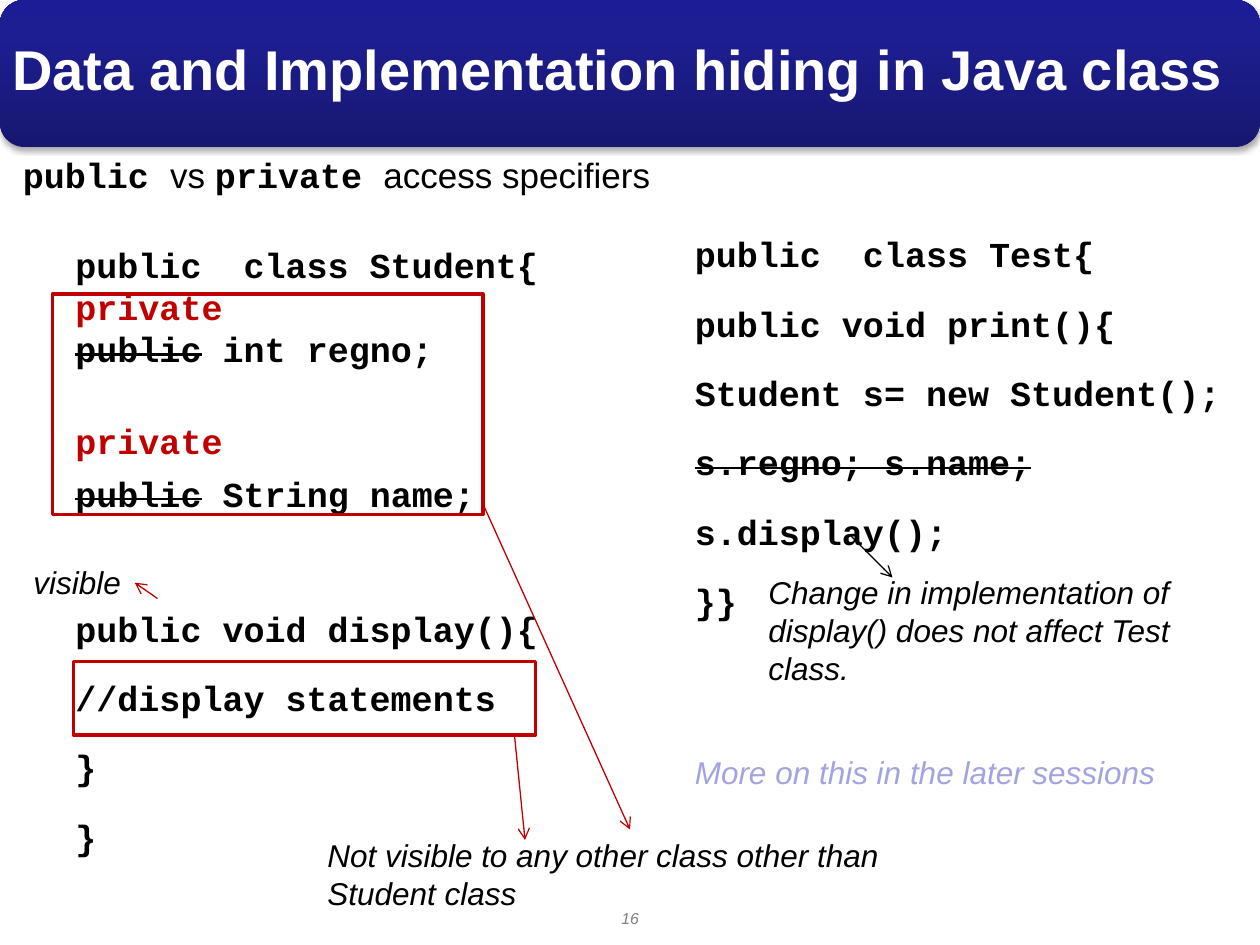
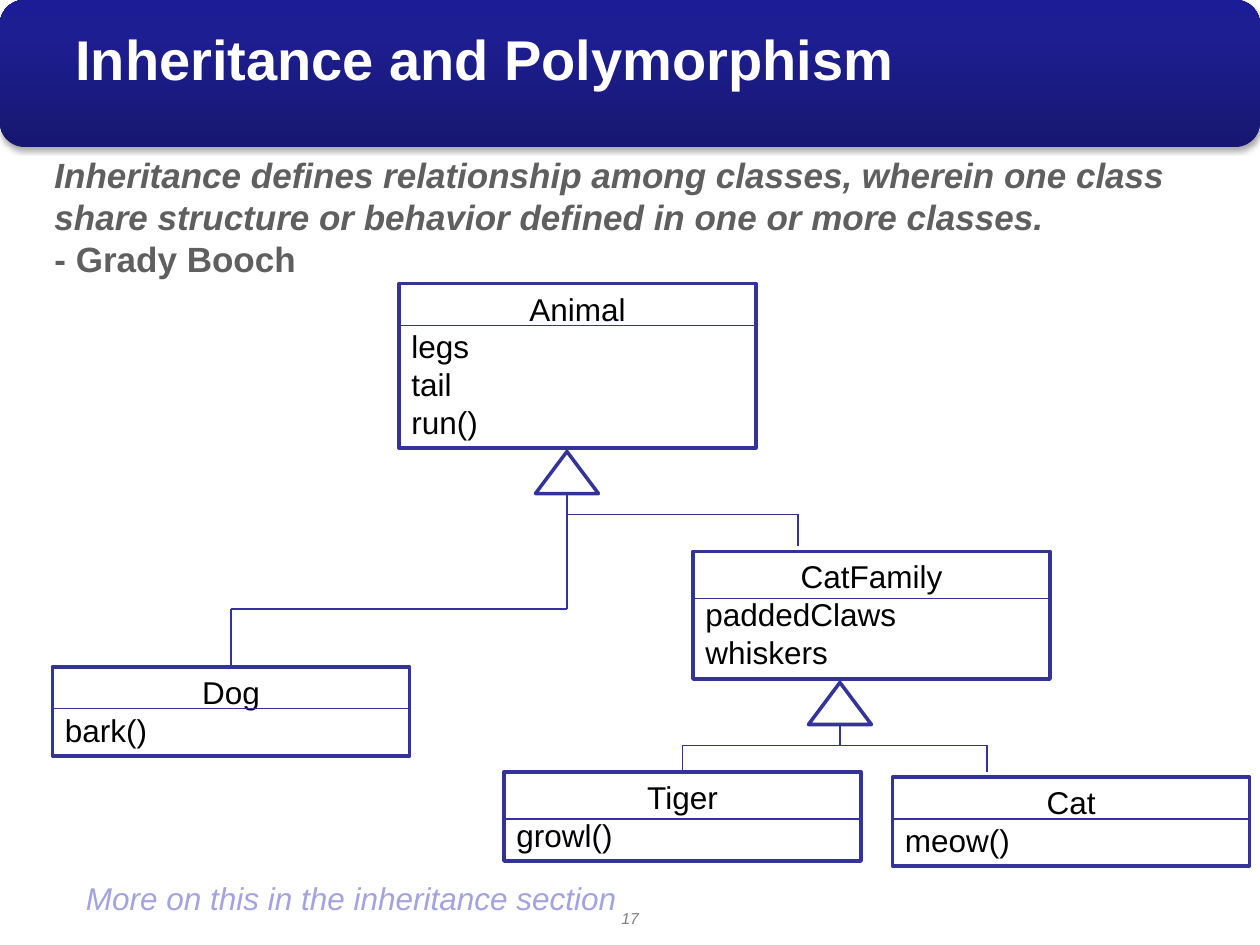
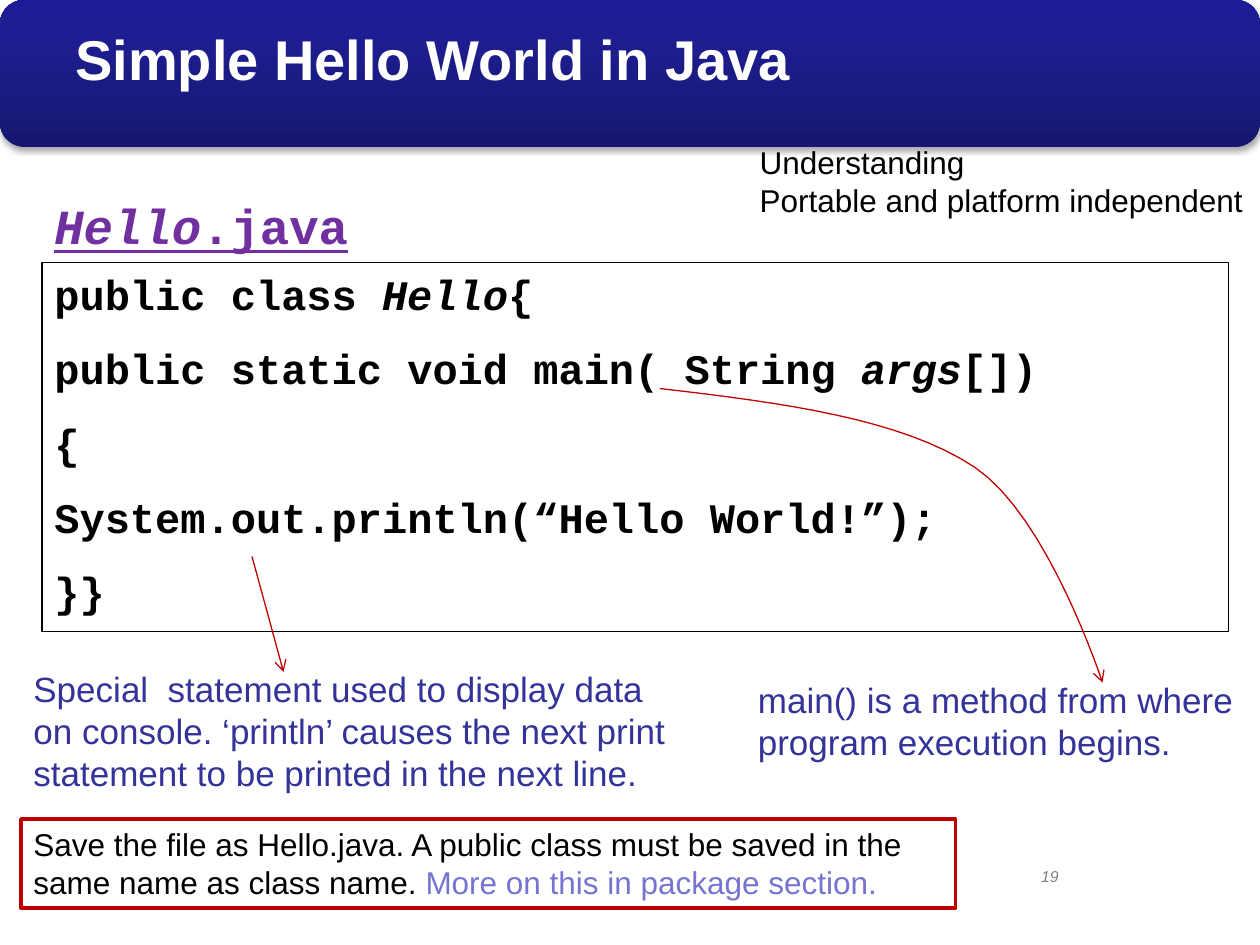
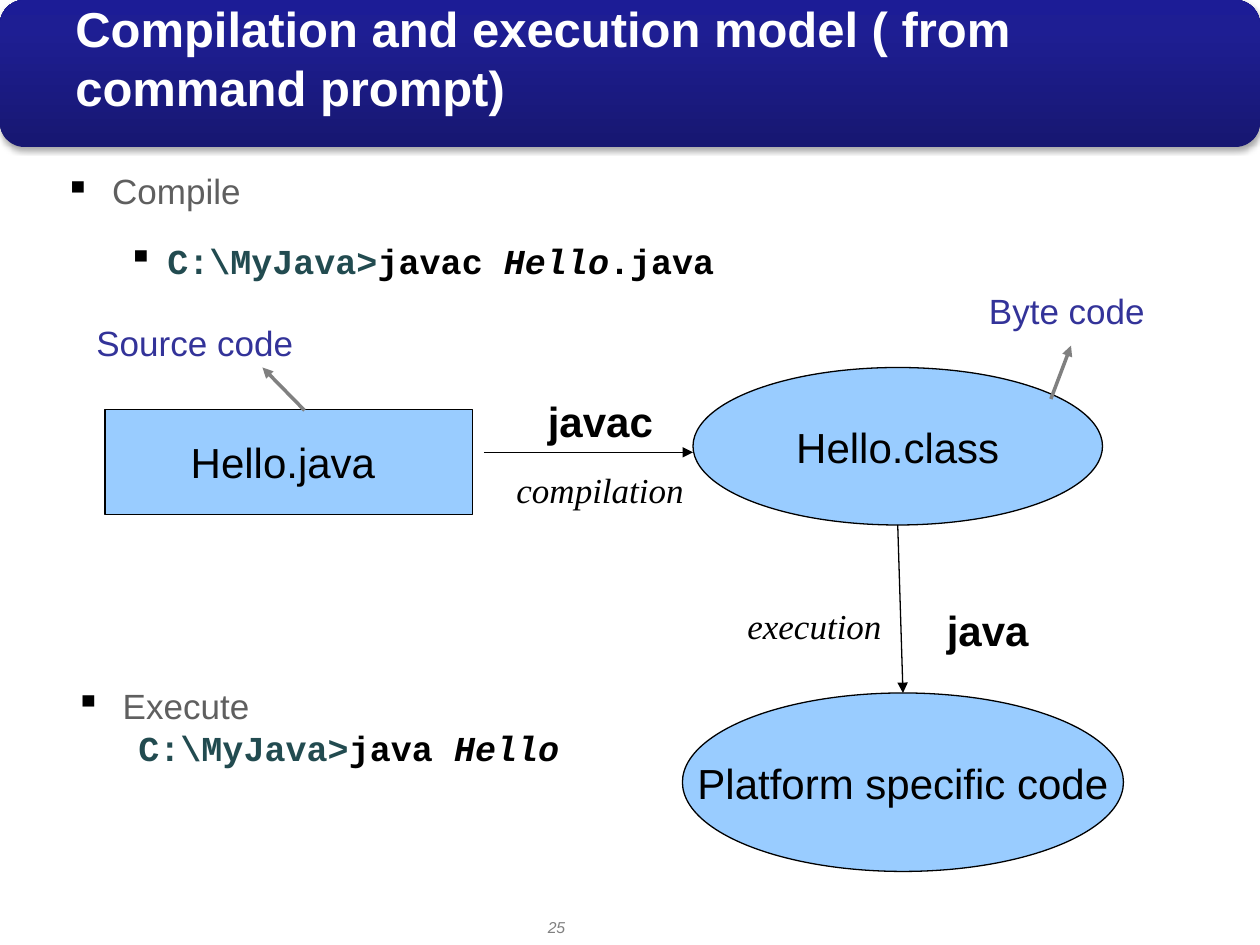
"""Build four slides on Java classes, inheritance and the compile-run cycle."""
from copy import deepcopy
from lxml import etree
from pptx import Presentation
from pptx.dml.color import RGBColor
from pptx.enum.shapes import MSO_CONNECTOR, MSO_SHAPE
from pptx.enum.text import MSO_ANCHOR, MSO_AUTO_SIZE, PP_ALIGN
from pptx.oxml.ns import qn
from pptx.util import Pt

RECT, OVAL, ROUND, TRIANGLE = (MSO_SHAPE.RECTANGLE, MSO_SHAPE.OVAL,
                               MSO_SHAPE.ROUNDED_RECTANGLE, MSO_SHAPE.ISOSCELES_TRIANGLE)
LEFT, CENTER = PP_ALIGN.LEFT, PP_ALIGN.CENTER
TOP, MIDDLE = MSO_ANCHOR.TOP, MSO_ANCHOR.MIDDLE
GROW, FIXED = MSO_AUTO_SIZE.SHAPE_TO_FIT_TEXT, MSO_AUTO_SIZE.NONE
STRAIGHT = MSO_CONNECTOR.STRAIGHT

COLORS = {
    "white": "FFFFFF", "black": "000000", "red": "C00000", "blue": "333399",
    "pale": "A3A3E0", "violet": "7575D1", "purple": "7030A0", "grey": "5F5F5F",
    "mid": "808080", "teal": "224B50", "sky": "99CCFF",
    "band_low": "171771", "band_mid": "1E1E93", "band_top": "1C1C96",
}
RGB = {name: RGBColor.from_string(value) for name, value in COLORS.items()}

BODY = {"name": "Arial", "size": Pt(18), "color": "black"}
NOTE = {**BODY, "italic": True}
PALE = {**NOTE, "color": "pale"}
LARGE = {**BODY, "size": Pt(20)}
BLUE = {**LARGE, "color": "blue"}
NODE = {**BODY, "size": Pt(24)}
COMMAND = {**NODE, "bold": True}
TITLE = {**BODY, "color": "white", "bold": True}
NUMBER = {**NOTE, "size": Pt(9), "color": "mid"}
CODE = {"name": "Courier New", "size": Pt(20), "color": "black", "bold": True}
STEP = {**NOTE, "name": "Times New Roman", "size": Pt(20)}
ITALIC, UPRIGHT = {"italic": True}, {"italic": False}
STRUCK, RED = {"strike": True}, {"color": "red"}
WIDE = {"line_spacing": 1.4, "space_before": Pt(6)}


def add(s, box, paras=(), font=BODY, kind=None, fill=None, line=None, weight=0.75,
        anchor=TOP, wrap=True, size=GROW):
    """Add a text box or preset shape with formatted paragraphs."""
    box = [Pt(v) for v in box]
    if kind is None:
        sp = s.shapes.add_textbox(*box)
    else:
        sp = s.shapes.add_shape(kind, *box)
        sp.shadow.inherit = False
    if fill:
        sp.fill.solid()
        sp.fill.fore_color.rgb = RGB[fill]
    else:
        sp.fill.background()
    if line:
        sp.line.color.rgb = RGB[line]
        sp.line.width = Pt(weight)
    else:
        sp.line.fill.background()
    tf = sp.text_frame
    tf.word_wrap = wrap
    tf.vertical_anchor = anchor
    tf.auto_size = size if paras else FIXED
    for i, (layout, *runs) in enumerate(paras):
        p = tf.add_paragraph() if i else tf.paragraphs[0]
        for key, value in {"alignment": LEFT, **layout}.items():
            setattr(p, key, value)
        for text, changes in runs:
            r = p.add_run()
            r.text = text
            for key, value in {**font, **changes}.items():
                if key == "color":
                    r.font.color.rgb = RGB[value]
                elif key == "strike":
                    r._r.get_or_add_rPr().set("strike", "sngStrike")
                else:
                    setattr(r.font, key, value)
    return sp


def link(s, points, color, weight=0.75, head=None):
    """Draw a straight line, or an open outline through more points."""
    if len(points) == 2:
        sp = s.shapes.add_connector(STRAIGHT, *[Pt(v) for xy in points for v in xy])
    else:
        path = [(Pt(x), Pt(y)) for x, y in points]
        builder = s.shapes.build_freeform(*path[0])
        builder.add_line_segments(path[1:], close=False)
        sp = builder.convert_to_shape()
        sp.fill.background()
    sp.line.color.rgb = RGB[color]
    sp.line.width = Pt(weight)
    spPr = sp.element.spPr
    if head:
        etree.SubElement(spPr.find(qn("a:ln")), qn("a:tailEnd")).set("type", head)
    etree.SubElement(spPr, qn("a:effectLst"))


prs = Presentation()
prs.slide_width, prs.slide_height = Pt(720), Pt(540)

slides = []
for title, title_box, points, number, number_box in [
    ("Data and Implementation hiding in Java class", (0, 6, 720, 66), 32, "16", (276, 516, 168, 19)),
    ("Inheritance and Polymorphism", (36, 0, 648, 66), 32, "17", (276, 516, 168, 19)),
    ("Simple Hello World in Java", (36, 0, 648, 66), 32, "19", (516, 492, 168, 37)),
    ("Compilation and execution model ( from command prompt)", (36, 0, 648, 66), 28, "25",
     (234, 521, 168, 37)),
]:
    s = prs.slides.add_slide(prs.slide_layouts[6])
    band = add(s, (0, 0, 720, 84), kind=ROUND)
    band.fill.gradient()
    band.fill.gradient_angle = 90
    spPr = band.element.spPr
    stops = spPr.find(".//" + qn("a:gsLst"))
    stops.insert(1, deepcopy(stops[0]))
    for stop, (position, color) in zip(band.fill.gradient_stops,
                                       [(0, "band_low"), (0.8, "band_mid"), (1, "band_top")]):
        stop.position = position
        stop.color.rgb = RGB[color]
    shadow = etree.SubElement(spPr.find(qn("a:effectLst")), qn("a:outerShdw"),
                              blurRad=str(Pt(3.1)), dist=str(Pt(1.8)), dir="5400000", rotWithShape="0")
    tint = etree.SubElement(shadow, qn("a:srgbClr"), val=COLORS["black"])
    etree.SubElement(tint, qn("a:alpha"), val="35000")
    add(s, title_box, [({}, (title, {"size": Pt(points)}))], TITLE, anchor=MIDDLE, size=FIXED)
    add(s, number_box, [({"alignment": CENTER}, (number, {}))], NUMBER, size=FIXED)
    slides.append(s)
hiding, inheritance, hello, compilation = slides

s = hiding
add(s, (36, 126, 306, 356), [
    (WIDE, ("public  class Student{", {})),
    ({}, ("private", RED)),
    ({}, ("public", STRUCK), (" int regno;", {})),
    ({"space_before": Pt(28.7)}, ("private", RED)),
    ({"space_before": Pt(6)}, ("public", STRUCK), (" String name;", {})),
    ({**WIDE, "space_before": Pt(43.5)}, ("public void display(){", {})),
    *[(WIDE, (text, {})) for text in ("//display statements", "}", "}")],
], CODE, size=FIXED)
add(s, (390, 120, 354, 356), [
    (WIDE, (text, STRUCK if text.startswith("s.regno") else {}))
    for text in ("public  class Test{", "public void print(){", "Student s= new Student();",
                 "s.regno; s.name;", "s.display();", "}}")
], CODE, size=FIXED)
for box in [(30, 168, 246, 126), (42, 378, 264, 42)]:
    add(s, box, kind=RECT, line="red", weight=2)
for box, text, font, wrap in [
    ((390, 427, 318, 29), "More on this in the later sessions", PALE, True),
    ((180, 474, 360, 51), "Not visible to any other class other than Student class", NOTE, True),
    ((12, 318, 65, 29), "visible", NOTE, False),
    ((432, 324, 288, 73), "Change in implementation of display() does not affect Test class.", NOTE, True),
]:
    add(s, box, [({}, (text, {}))], font, wrap=wrap)
for start, end, color in [
    ((276, 288), (360, 474), "red"),
    ((294, 420), (300, 480), "red"),
    ((90, 342), (77, 333), "red"),
    ((486, 306), (510, 330), "black"),
]:
    link(s, [start, end], color, head="arrow")
plain = {"name": "Arial", "bold": False}
add(s, (6, 84, 396, 32), [
    ({}, ("public ", {}), ("vs ", plain), ("private ", {}), ("access specifiers", plain)),
], CODE)

s = inheritance
add(s, (24, 84, 672, 80), [
    ({}, ("Inheritance defines relationship among classes, wherein one class share structure "
          "or behavior defined in one or more classes. ", ITALIC)),
    ({}, ("- Grady Booch ", {})),
], {**LARGE, "color": "grey", "bold": True})
add(s, (42, 499, 318, 29), [({}, ("More on this in the inheritance section", {}))], PALE)
for name, members, x, y, height, divider in [
    ("Animal", ["legs", "tail", "run()"], 228, 162, 94, 186),
    ("Dog", ["bark()"], 30, 381, 51, 405),
    ("Tiger", ["growl()"], 288, 441, 51, 468),
    ("CatFamily", ["paddedClaws", "whiskers"], 396, 315, 73, 342),
    ("Cat", ["meow()"], 510, 444, 51, 468),
]:
    add(s, (x, y, 204, height),
        [({"alignment": CENTER}, (name, {}))] + [({}, (member, {})) for member in members],
        kind=RECT, fill="white", line="blue", weight=2)
    link(s, [(x, divider), (x + 204, divider)], "blue")
for x, y in [(306, 258), (462, 390)]:
    add(s, (x, y, 36, 24), kind=TRIANGLE, line="blue", weight=2)
for route in [
    [(324, 282), (324, 348), (132, 348), (132, 381)],
    [(324, 294), (456, 294), (456, 312)],
    [(480, 414), (480, 426)],
    [(390, 441), (390, 426), (564, 426), (564, 441)],
]:
    for start, end in zip(route, route[1:]):
        link(s, [start, end], "blue")

s = hello
half = {"space_before": Pt(13.6)}
add(s, (24, 150, 678, 211), [
    (half, ("public class ", {}), ("Hello", ITALIC), ("{", {})),
    (half, ("public static void main( String ", {}), ("args", ITALIC), ("[])", {})),
    *[(half, (text, {})) for text in ("{", "System.out.println(“Hello World!”);", "}}")],
], {**CODE, "size": Pt(24)}, RECT, line="black")
add(s, (24, 108, 184, 41), [({}, ("Hello", ITALIC), (".java", {}))],
    {**CODE, "size": Pt(28), "color": "purple", "underline": True}, wrap=False)
add(s, (426, 384, 294, 56),
    [({}, ("main() is a method from where program execution begins.", {}))], BLUE)
add(s, (12, 378, 378, 80),
    [({}, ("Special  statement used to display data on console. ‘println’ causes the next "
           "print statement to be printed in the next line.", {}))], BLUE)
curve = [(377, 222)]
for a, b, c, d in [
    ((377, 222), (446, 230), (515, 239), (557, 267)),
    ((557, 267), (599, 295), (630, 390), (630, 390)),
]:
    for step in range(1, 17):
        t = step / 16
        u = 1 - t
        curve.append(tuple(u**3 * a[i] + 3 * u**2 * t * b[i] + 3 * u * t**2 * c[i] + t**3 * d[i]
                           for i in (0, 1)))
link(s, curve, "red", head="arrow")
link(s, [(144, 318), (162, 384)], "red", head="arrow")
add(s, (427, 78, 293, 51),
    [({}, (text, {})) for text in ("Understanding", "Portable and platform independent")], wrap=False)
add(s, (12, 468, 534, 51), [
    ({}, ("Save the file as Hello.java. A public class must be saved in the same name as class name. ", {}),
     ("More on this in package section.", {"color": "violet"})),
], kind=RECT, fill="white", line="red", weight=2)

s = compilation
prompt = ("C:\\MyJava>", {"color": "teal"})
grey = {**LARGE, "color": "grey", "bold": False}
compile_box = add(s, (30, 84, 666, 144), [
    (WIDE, ("Compile", grey)),
    ({**WIDE, "level": 1}, prompt, ("javac ", {}), ("Hello", ITALIC), (".java", UPRIGHT)),
], CODE, size=FIXED)
execute_box = add(s, (36, 378, 312, 78), [
    (WIDE, ("Execute", grey)),
    ({"level": 1}, prompt, ("java ", {}), ("Hello", ITALIC)),
], CODE, size=FIXED)
for sp, index, margin, indent, bullet in [
    (compile_box, 0, 27, -27, True),
    (compile_box, 1, 58.5, -22.5, True),
    (execute_box, 0, 27, -27, True),
    (execute_box, 1, 36, 0, False),
]:
    pPr = sp.text_frame.paragraphs[index]._p.get_or_add_pPr()
    pPr.set("marL", str(Pt(margin)))
    pPr.set("indent", str(Pt(indent)))
    if bullet:
        etree.SubElement(etree.SubElement(pPr, qn("a:buClr")), qn("a:srgbClr"), val=COLORS["black"])
        etree.SubElement(pPr, qn("a:buChar"), char="▪")
for kind, box, text in [
    (RECT, (60, 234, 210, 60), "Hello.java "),
    (OVAL, (396, 210, 234, 90), "Hello.class"),
    (OVAL, (390, 396, 252, 102), "Platform specific code"),
]:
    add(s, box, [({"alignment": CENTER}, (text, {}))], NODE, kind, "sky", "black",
        anchor=MIDDLE, wrap=False, size=FIXED)
for box, text, font, wrap in [
    ((306, 222.5, 75, 36), "javac", COMMAND, False),
    ((534, 342, 61, 36), "java", COMMAND, False),
    ((288, 264, 156, 32), "compilation", STEP, True),
    ((420, 342, 102, 32), "execution", STEP, True),
    ((558, 162, 104.5, 32), "Byte code", BLUE, False),
    ((48, 180, 128, 32), "Source code", BLUE, False),
]:
    add(s, box, [({}, (text, {}))], font, wrap=wrap)
for start, end, color, weight in [
    ((276.5, 258.5), (396, 258.5), "black", 0.75),
    ((513, 300), (516, 396), "black", 0.75),
    ((174, 234.5), (150, 210), "mid", 2),
    ((600.5, 228), (612, 197.5), "mid", 2),
]:
    link(s, [start, end], color, weight, "triangle")

prs.save("out.pptx")
